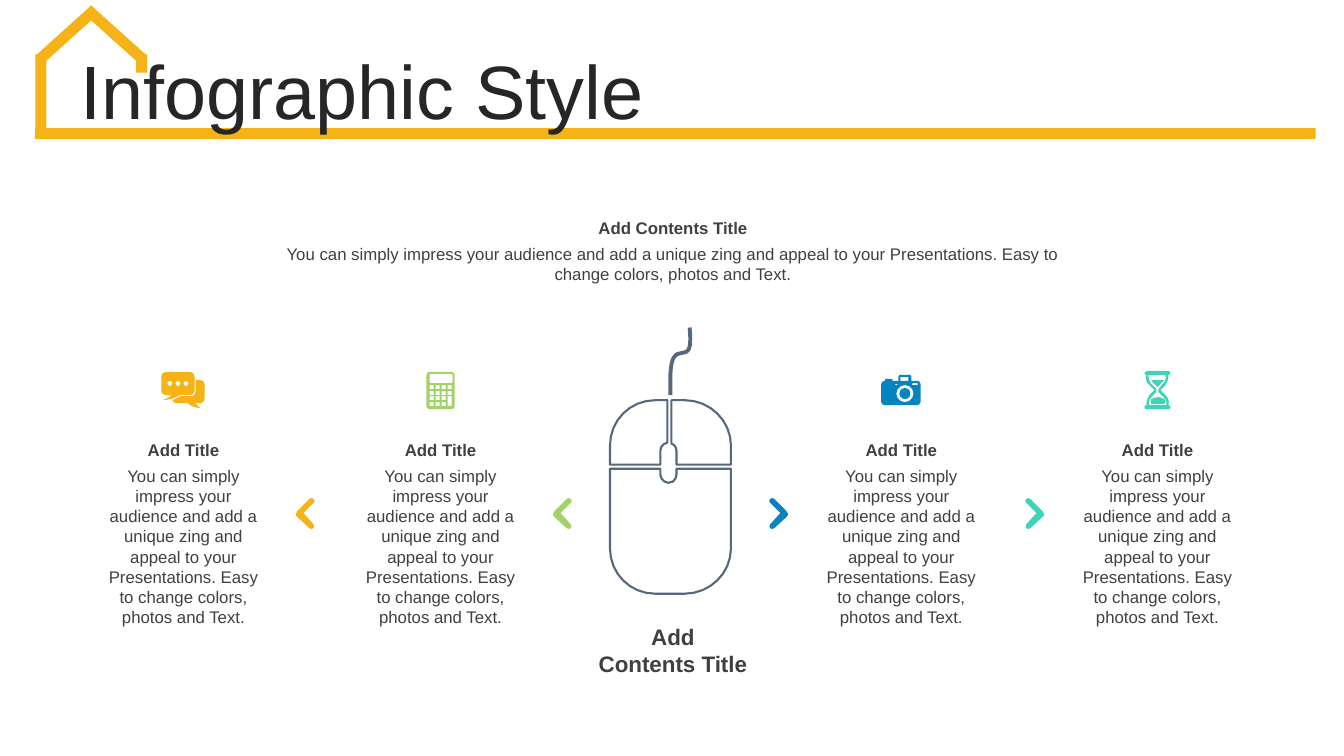
from math import dist, sqrt

from pptx import Presentation
from pptx.dml.color import RGBColor
from pptx.enum.shapes import MSO_SHAPE
from pptx.enum.text import MSO_ANCHOR, PP_ALIGN
from pptx.util import Pt

PX = 9144
RECT = MSO_SHAPE.RECTANGLE
LEFT, CENTER = PP_ALIGN.LEFT, PP_ALIGN.CENTER
TOP, MIDDLE = MSO_ANCHOR.TOP, MSO_ANCHOR.MIDDLE
FONT = "Arial"
AMBER, GREEN, BLUE, TEAL = "F5B317", "A2D368", "0684BF", "3ED4B7"
SLATE, INK, GREY = "57687C", "262626", "404040"
PITCH = "You can simply impress your audience and add a unique zing and appeal to your Presentations. Easy to change colors, photos and Text."


def color(hex_string):
    """Turn a hex string into a colour."""
    return RGBColor.from_string(hex_string)


def square(x, y, w, h):
    """Return the path of a rectangle with sharp corners."""
    return f"M {x} {y} L {x + w} {y} L {x + w} {y + h} L {x} {y + h} Z "


def rounded(x, y, w, h, r):
    """Return the path of a rectangle with corner radius r."""
    k = r * 0.45
    right, bottom = x + w, y + h
    return (f"M {x + r} {y} L {right - r} {y} C {right - k} {y} {right} {y + k} {right} {y + r} "
            f"L {right} {bottom - r} C {right} {bottom - k} {right - k} {bottom} {right - r} {bottom} "
            f"L {x + r} {bottom} C {x + k} {bottom} {x} {bottom - k} {x} {bottom - r} "
            f"L {x} {y + r} C {x} {y + k} {x + k} {y} {x + r} {y} Z ")


def curve_points(start, first, second, end):
    """Sample a cubic curve, with more points on longer curves."""
    steps = max(1, round(sqrt(dist(start, end))))
    sampled = []
    for step in range(1, steps + 1):
        t = step / steps
        weights = ((1 - t) ** 3, 3 * t * (1 - t) ** 2, 3 * t * t * (1 - t), t ** 3)
        sampled.append(tuple(sum(w * knot[axis] for w, knot in zip(weights, (start, first, second, end)))
                             for axis in (0, 1)))
    return sampled


def contours(path_text):
    """Split a path into (points, closed) contours, with curves as short lines."""
    found = []
    for part in path_text.split("M")[1:]:
        points, numbers, command = [], [], "L"
        for token in part.replace("Z", "").split():
            if token in ("L", "C"):
                command = token
                continue
            numbers.append(float(token))
            if command == "L" and len(numbers) == 2:
                points.append(tuple(numbers))
                numbers = []
            elif len(numbers) == 6:
                points += curve_points(points[-1], numbers[:2], numbers[2:4], numbers[4:])
                numbers = []
        found.append((points, "Z" in part))
    return found


def add_outline(slide, left, top, path_text, fill=None, line=None, weight=1.5, mirror_width=None):
    """Draw a path at left, top, mirrored within mirror_width if that is given."""
    builder = None
    for points, closed in contours(path_text):
        if mirror_width is not None:
            points = [(mirror_width - x, y) for x, y in points]
        emu = [((left + x) * PX, (top + y) * PX) for x, y in points]
        if builder is None:
            builder = slide.shapes.build_freeform(*emu[0], scale=1.0)
        else:
            builder.move_to(*emu[0])
        builder.add_line_segments(emu[1:], close=closed)
    outline = builder.convert_to_shape()
    outline.shadow.inherit = False
    if fill:
        outline.fill.solid()
        outline.fill.fore_color.rgb = color(fill)
    else:
        outline.fill.background()
    if line:
        outline.line.color.rgb = color(line)
        outline.line.width = Pt(weight)
    else:
        outline.line.fill.background()


def add_bar(slide, left, top, width, height, rotation=0):
    """Draw one amber beam of the house."""
    bar = slide.shapes.add_shape(RECT, left * PX, top * PX, width * PX, height * PX)
    bar.rotation = rotation
    bar.shadow.inherit = False
    bar.fill.solid()
    bar.fill.fore_color.rgb = color(AMBER)
    bar.line.fill.background()


def add_text(slide, box, lines, size=12, bold=False, ink=GREY, align=CENTER, anchor=TOP, spacing=None):
    """Write one paragraph for each line inside the box."""
    frame = slide.shapes.add_textbox(*(length * PX for length in box)).text_frame
    frame.word_wrap = True
    frame.vertical_anchor = anchor
    frame.text = "\n".join(lines)
    for paragraph in frame.paragraphs:
        paragraph.alignment = align
        paragraph.line_spacing = spacing
        paragraph.font.name = FONT
        paragraph.font.size = Pt(size)
        paragraph.font.bold = bold
        paragraph.font.color.rgb = color(ink)


def add_header(slide, left, top):
    """Draw the house outline with the slide title on its floor."""
    add_bar(slide, left, top + 130, 1270, 11)
    add_bar(slide, left, top + 57, 11, 80)
    add_bar(slide, left + 100, top + 57, 11, 18)
    for roof_left, angle in ((26, 48), (74, 312)):
        add_bar(slide, left + roof_left, top, 11, 75, angle)
    add_text(slide, (left + 35, top + 58, 1231, 79), ["Infographic Style"],
             54, ink=INK, align=LEFT, anchor=MIDDLE, spacing=0.9)


def add_intro(slide, left, top, width):
    """Write the heading and pitch above the mouse."""
    add_text(slide, (left, top + 26, width, 50), [PITCH])
    add_text(slide, (left, top, width, 30), ["Add Contents Title"], bold=True)


def add_mouse(slide, left, top):
    """Draw the mouse with its cable and caption."""
    palm = ("M 0 68 L 50 68 L 50 74 C 50 78 54 82 58 82 C 63 82 66 78 66 74 L 66 68 L 120 68 "
            "L 120 147 C 120 172 99 192 74 192 L 45 192 C 20 192 0 172 0 147 Z ")
    right_button = "M 61 0 L 74 0 C 99 0 120 20 120 45 L 120 64 L 66 64 L 66 50 C 66 47 64 44 61 43 Z "
    left_button = "M 45 0 L 57 0 L 57 42 C 53 43 50 46 50 50 L 50 64 L 0 64 L 0 45 C 0 20 20 0 45 0 Z"
    cable = "M 0 67 C 0 53 -1 38 3 30 C 6 23 16 27 18 22 C 21 17 19 0 19 0"
    add_outline(slide, left, top + 72, palm + right_button + left_button, line=SLATE)
    add_outline(slide, left + 60, top, cable, line=SLATE, weight=2.75)
    add_text(slide, (left - 34, top + 288, 193, 64), ["Add", "Contents Title"], 16, bold=True)


def add_column(slide, left, top, accent, icon, points_left):
    """Place an icon, its title and text, and the chevron on the side of the mouse."""
    width = 172
    path_text, icon_width, icon_height = icon
    add_outline(slide, left + (width - icon_width) // 2, top + 22 - icon_height // 2, path_text, accent)
    add_text(slide, (left, top + 92, width, 172), [PITCH])
    add_text(slide, (left, top + 66, width, 30), ["Add Title"], bold=True)
    chevron = ("M 3 0 L 5 1 L 17 13 C 19 15 19 17 18 18 L 5 30 C 4 31 2 31 1 30 "
               "C 0 29 0 27 1 26 L 11 15 L 1 5 C 0 4 -1 2 1 1 Z")
    add_outline(slide, left + (197 if points_left else -45), top + 129, chevron, accent,
                mirror_width=19 if points_left else None)


def speech_icon():
    """Return path, width and height of the speech bubbles."""
    front = ("M 5 0 L 28 0 C 31 0 33 2 33 5 L 33 19 C 33 21 31 23 28 23 L 18 23 C 12 27 10 27 2 28 "
             "C 7 25 8 26 10 23 L 5 23 C 2 23 0 21 0 19 L 0 5 C 0 2 2 0 5 0 Z ")
    back = ("M 34 8 L 39 8 C 41 8 43 10 43 12 L 43 26 C 43 29 41 31 39 31 L 34 31 C 35 32 35 33 39 36 "
            "C 31 35 30 34 26 31 L 15 31 C 13 31 12 30 11 28 C 14 27 16 26 19 24 L 30 24 "
            "C 32 24 34 22 34 20 Z ")
    return front + back + "".join(rounded(x, 9, 5, 5, 2.5) for x in (6, 14, 22)), 43, 36


def calculator_icon():
    """Return path, width and height of the calculator."""
    keys = [square(3 + 6 * column, row_top, 4, 4)
            for row_top in (13, 19, 24, 30) for column in range(4)
            if column < 3 or row_top < 24]
    enter_key = square(21, 24, 4, 10)
    return rounded(0, 0, 28, 37, 3) + rounded(3, 2, 23, 9, 1) + "".join(keys) + enter_key, 28, 37


def camera_icon():
    """Return path, width and height of the camera."""
    body = ("M 18 0 L 29 0 L 30 2 L 30 6 L 36 6 C 37 6 39 7 39 9 L 39 27 C 39 28 37 30 36 30 "
            "L 3 30 C 2 30 0 28 0 27 L 0 9 C 0 7 2 6 3 6 L 4 6 L 4 4 L 11 4 L 11 6 L 17 6 L 17 2 Z ")
    lens = rounded(15, 10, 17, 17, 8.5) + rounded(18, 13, 11, 11, 5.5)
    windows = square(14, 9, 2, 1) + square(31, 8, 5, 2) + square(19, 2, 8, 4)
    return body + lens + windows, 39, 30


def hourglass_icon():
    """Return path, width and height of the hourglass."""
    frame = ("M 2 0 L 24 0 C 25 0 26 1 26 2 C 26 3 25 4 24 4 C 24 8 23 11 21 14 L 16 19 L 21 24 "
             "C 24 27 25 30 24 34 C 25 34 26 35 26 36 C 26 37 25 38 24 38 L 2 38 C 1 38 0 37 0 36 "
             "C 0 35 1 34 2 34 C 2 31 3 27 5 24 L 10 19 L 5 14 C 2 12 1 8 2 4 C 1 4 0 3 0 2 Z ")
    glass = ("M 4 4 C 4 7 5 10 7 13 L 12 18 L 12 21 L 7 26 C 5 28 4 31 5 34 L 22 34 "
             "C 22 31 22 28 19 26 L 14 21 L 14 18 L 19 12 C 21 10 22 7 21 4 Z ")
    sand = ("M 7 9 L 20 9 L 18 11 L 13 16 L 8 11 Z "
            "M 14 26 C 16 26 18 27 20 28 C 21 29 21 31 20 33 L 7 33 C 6 31 6 29 7 28 C 9 27 12 26 14 26 Z")
    return frame + glass + sand, 26, 38


def main():
    """Build the slide and save it."""
    deck = Presentation()
    deck.slide_width, deck.slide_height = 1333 * PX, 750 * PX
    slide = deck.slides.add_slide(deck.slide_layouts[6])
    add_header(slide, 35, -3)
    add_mouse(slide, 605, 325)
    add_intro(slide, 258, 211, 819)
    for left, accent, icon, points_left in ((96, AMBER, speech_icon(), True),
                                            (351, GREEN, calculator_icon(), True),
                                            (808, BLUE, camera_icon(), False),
                                            (1062, TEAL, hourglass_icon(), False)):
        add_column(slide, left, 365, accent, icon, points_left)
    deck.save("out.pptx")


if __name__ == "__main__":
    main()
